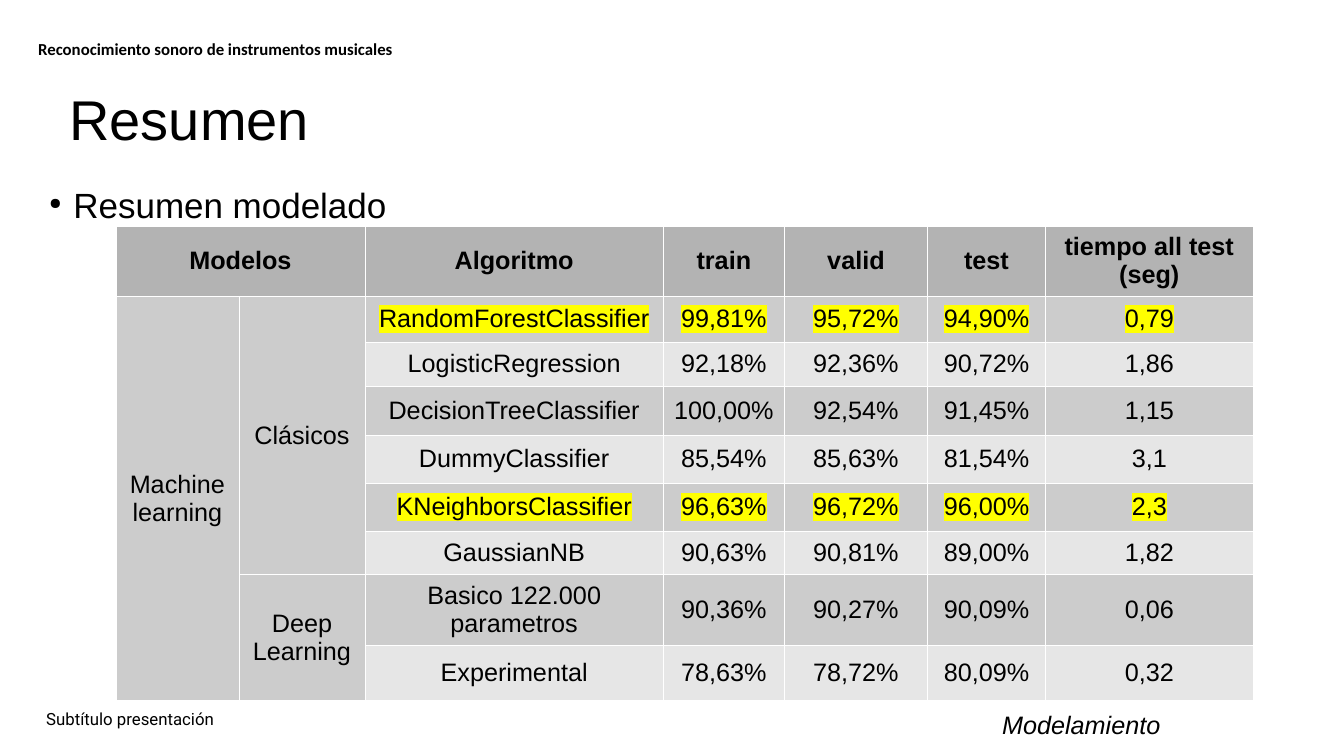
"""Build the model summary slide of a musical instrument recognition talk."""
import dataclasses

import pptx
import pptx.dml.color
import pptx.enum.text
import pptx.oxml
import pptx.oxml.ns
import pptx.util

Inches = pptx.util.Inches
Pt = pptx.util.Pt
Align = pptx.enum.text.PP_ALIGN
Anchor = pptx.enum.text.MSO_ANCHOR


@dataclasses.dataclass(frozen=True)
class Theme:
    """Colours, fonts and type sizes of the slide."""
    ink: str = "000000"
    header_fill: str = "B3B3B3"
    dark_fill: str = "CCCCCC"
    light_fill: str = "E6E6E6"
    border: str = "FFFFFF"
    marker: str = "FFFF00"
    body_font: str = "Arial"
    header_font: str = "Calibri"
    footer_font: str = "Roboto"
    title_size: int = 40
    lead_size: int = 25
    table_size: int = 18
    small_size: int = 12


THEME = Theme()

COLUMN_WIDTHS = [1.22, 1.25, 2.96, 1.2, 1.42, 1.17, 2.06]
ROW_HEIGHTS = [0.7, 0.45, 0.44, 0.49, 0.47, 0.48, 0.43, 0.7, 0.55]
HEADINGS = ["Modelos", "", "Algoritmo", "train", "valid", "test", "tiempo all test (seg)"]
RESULTS = [
    ["RandomForestClassifier", "99,81%", "95,72%", "94,90%", "0,79"],
    ["LogisticRegression", "92,18%", "92,36%", "90,72%", "1,86"],
    ["DecisionTreeClassifier", "100,00%", "92,54%", "91,45%", "1,15"],
    ["DummyClassifier", "85,54%", "85,63%", "81,54%", "3,1"],
    ["KNeighborsClassifier", "96,63%", "96,72%", "96,00%", "2,3"],
    ["GaussianNB", "90,63%", "90,81%", "89,00%", "1,82"],
    ["Basico 122.000 parametros", "90,36%", "90,27%", "90,09%", "0,06"],
    ["Experimental", "78,63%", "78,72%", "80,09%", "0,32"],
]
BEST_ALGORITHMS = {"RandomForestClassifier", "KNeighborsClassifier"}
GROUPS = {(1, 0): "Machine learning", (1, 1): "Clásicos", (7, 1): "Deep Learning"}
SPANS = [((0, 0), (0, 1)), ((1, 0), (8, 0)), ((1, 1), (6, 1)), ((7, 1), (8, 1))]


def rgb(value):
    """Turn a hex string into a colour."""
    return pptx.dml.color.RGBColor.from_string(value)


def element(markup):
    """Parse one DrawingML element."""
    namespace = pptx.oxml.ns.nsdecls("a")
    return pptx.oxml.parse_xml(markup.replace(">", f" {namespace}>", 1))


def write(paragraph, wording, size, font=THEME.body_font, **styles):
    """Add a formatted run to a paragraph and return it."""
    run = paragraph.add_run()
    run.text = wording
    for name, value in {"size": Pt(size), "name": font, **styles}.items():
        setattr(run.font, name, value)
    run.font.color.rgb = rgb(THEME.ink)
    return run


def add_text(slide, place, wording, size, font=THEME.body_font, anchor=Anchor.TOP,
             spacing=1.0, bullet=False, **styles):
    """Place a wrapping text box holding one paragraph."""
    frame = slide.shapes.add_textbox(*map(Inches, place)).text_frame
    frame.word_wrap = True
    frame.vertical_anchor = anchor
    paragraph = frame.paragraphs[0]
    paragraph.line_spacing = spacing
    if bullet:
        add_bullet(paragraph)
    write(paragraph, wording, size, font, **styles)


def add_bullet(paragraph):
    """Give a paragraph a small round bullet and a hanging indent."""
    properties = paragraph._p.get_or_add_pPr()
    indent = Inches(0.24)
    properties.set("marL", str(indent))
    properties.set("indent", str(-indent))
    for markup in (f'<a:buClr><a:srgbClr val="{THEME.ink}"/></a:buClr>',
                   '<a:buSzPct val="45000"></a:buSzPct>',
                   '<a:buChar char="●"></a:buChar>'):
        properties.append(element(markup))


def highlight(run):
    """Mark a run with the highlighter colour."""
    fill = run._r.rPr.find(pptx.oxml.ns.qn("a:solidFill"))
    fill.addnext(element(
        f'<a:highlight><a:srgbClr val="{THEME.marker}"/></a:highlight>'))


def add_borders(cell):
    """Draw hairlines on the four sides of a cell."""
    properties = cell._tc.get_or_add_tcPr()
    for position, side in enumerate(("lnL", "lnR", "lnT", "lnB")):
        properties.insert(position, element(
            f'<a:{side} w="{Pt(0.06)}"><a:solidFill><a:srgbClr val="{THEME.border}"/>'
            f'</a:solidFill></a:{side}>'))


def fill_cell(cell, wording, fill, bold=False, marked=False):
    """Style a table cell and write its centred text."""
    cell.fill.solid()
    cell.fill.fore_color.rgb = rgb(fill)
    margins = {"margin_left": 0.1, "margin_right": 0.1, "margin_top": 0.05, "margin_bottom": 0.05}
    for name, value in margins.items():
        setattr(cell, name, Inches(value))
    cell.vertical_anchor = Anchor.MIDDLE
    add_borders(cell)
    if wording:
        paragraph = cell.text_frame.paragraphs[0]
        paragraph.alignment = Align.CENTER
        run = write(paragraph, wording, THEME.table_size, bold=bold)
        if marked:
            highlight(run)


def add_results(slide):
    """Add the table comparing the models."""
    table = slide.shapes.add_table(
        len(ROW_HEIGHTS), len(COLUMN_WIDTHS), Inches(1.15), Inches(2.24),
        Inches(sum(COLUMN_WIDTHS)), Inches(sum(ROW_HEIGHTS))).table
    table.first_row = table.horz_banding = False
    for column, width in zip(table.columns, COLUMN_WIDTHS):
        column.width = Inches(width)
    for row, height in zip(table.rows, ROW_HEIGHTS):
        row.height = Inches(height)
    for start, end in SPANS:
        table.cell(*start).merge(table.cell(*end))

    for column, heading in enumerate(HEADINGS):
        fill_cell(table.cell(0, column), heading, THEME.header_fill, bold=True)
    for row, result in enumerate(RESULTS, start=1):
        for column in range(2):
            fill_cell(table.cell(row, column), GROUPS.get((row, column), ""), THEME.dark_fill)
        fill = THEME.dark_fill if row % 2 else THEME.light_fill
        for column, value in enumerate(result, start=2):
            fill_cell(table.cell(row, column), value, fill, marked=result[0] in BEST_ALGORITHMS)


def main():
    """Build and save the slide."""
    deck = pptx.Presentation()
    deck.slide_width, deck.slide_height = Inches(13.33), Inches(7.5)
    slide = deck.slides.add_slide(deck.slide_layouts[6])
    add_text(slide, (0.36, 6.99, 4.5, 0.3), "Subtítulo presentación", THEME.small_size,
             THEME.footer_font, Anchor.MIDDLE, 0.9)
    add_text(slide, (0.59, 0.79, 10.24, 0.72), "Resumen", THEME.title_size)
    add_text(slide, (0.28, 0.34, 4.55, 0.31), "Reconocimiento sonoro de instrumentos musicales",
             THEME.small_size, THEME.header_font, Anchor.MIDDLE, 0.9, bold=True)
    add_text(slide, (0.39, 1.77, 12.6, 0.49), "Resumen modelado", THEME.lead_size, bullet=True)
    add_results(slide)
    add_text(slide, (9.84, 6.99, 3.88, 0.4), "Modelamiento", THEME.table_size, italic=True)
    deck.save("out.pptx")


if __name__ == "__main__":
    main()
